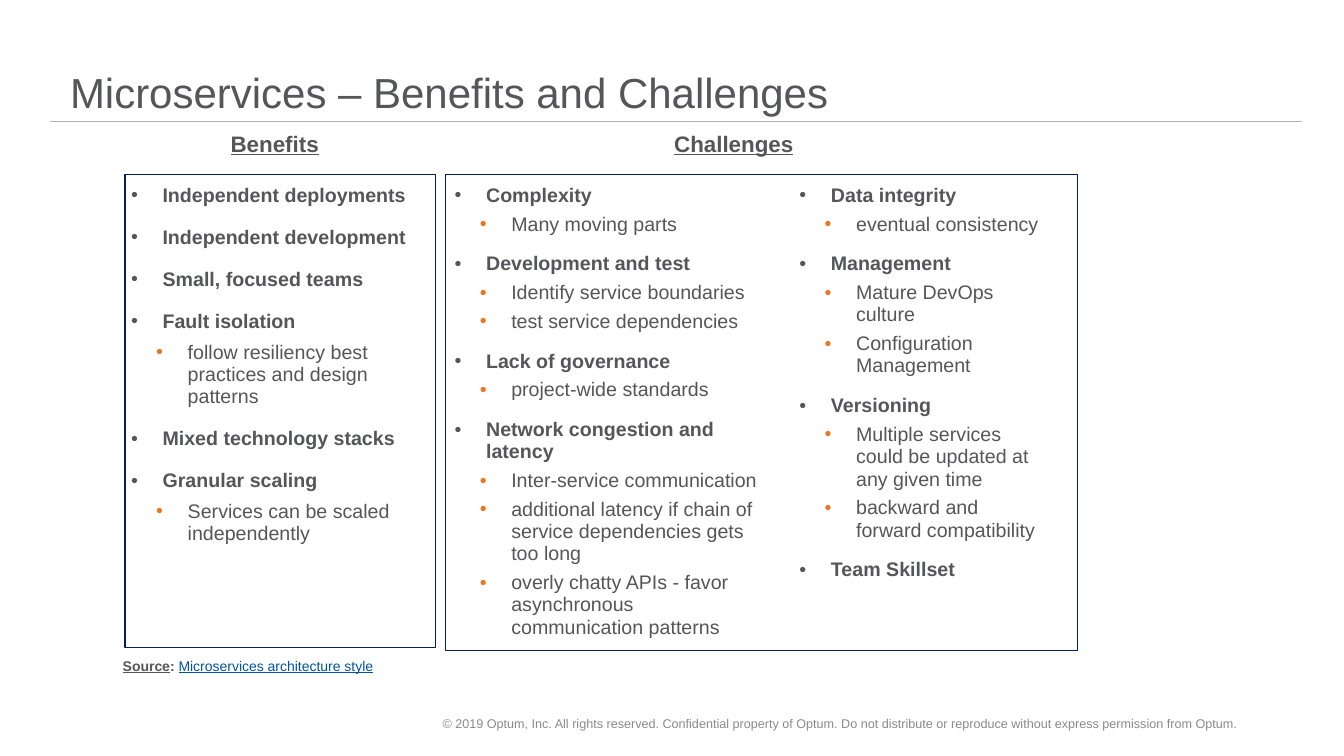
import lxml.etree
import pptx
import pptx.dml.color
import pptx.enum.shapes
import pptx.enum.text
import pptx.oxml.ns
import pptx.util

Pt = pptx.util.Pt
qn = pptx.oxml.ns.qn
Anchor = pptx.enum.text.MSO_ANCHOR
Align = pptx.enum.text.PP_ALIGN

GRAY = "55565A"
NAVY = "002060"
ORANGE = "E87722"
BLUE = "00549F"

BENEFITS = [
    ("Independent deployments", []),
    ("Independent development", []),
    ("Small, focused teams", []),
    ("Fault isolation", ["follow resiliency best practices and design patterns"]),
    ("Mixed technology stacks", []),
    ("Granular scaling", ["Services can be scaled independently"]),
]
CHALLENGES = [
    ("Complexity", ["Many moving parts"]),
    ("Development and test", ["Identify service boundaries", "test service dependencies"]),
    ("Lack of governance", ["project-wide standards"]),
    ("Network congestion and latency", [
        "Inter-service communication",
        "additional latency if chain of service dependencies gets too long",
        "overly chatty APIs - favor asynchronous communication patterns",
    ]),
]
MORE_CHALLENGES = [
    ("Data integrity", ["eventual consistency"]),
    ("Management", ["Mature DevOps culture", "Configuration Management"]),
    ("Versioning", [
        "Multiple services could be updated at any given time",
        "backward and forward compatibility",
    ]),
    ("Team Skillset", []),
]


def color(hex_text):
    return pptx.dml.color.RGBColor.from_string(hex_text)


def add_text(paragraph, text, size=14, fill=GRAY, bold=False, underline=False, font="Arial"):
    run = paragraph.add_run()
    run.text = text
    run.font.name = font
    run.font.size = Pt(size)
    run.font.bold = bold
    run.font.underline = underline
    run.font.color.rgb = color(fill)


def add_bullet(paragraph, level, fill):
    paragraph.level = level
    properties = paragraph._p.get_or_add_pPr()
    properties.set("marL", str(Pt(22.5 + 18 * level)))
    properties.set("indent", str(-Pt(22.5)))
    bullet_color = lxml.etree.SubElement(properties, qn("a:buClr"))
    lxml.etree.SubElement(bullet_color, qn("a:srgbClr"), val=fill)
    lxml.etree.SubElement(properties, qn("a:buFont"), typeface="Arial")
    lxml.etree.SubElement(properties, qn("a:buChar"), char="•")


class SlideBuilder:
    def __init__(self, presentation):
        self.slide = presentation.slides.add_slide(presentation.slide_layouts[5])

    def frame(self, shape, inset, anchor):
        frame = shape.text_frame
        frame.word_wrap = True
        frame.auto_size = pptx.enum.text.MSO_AUTO_SIZE.NONE
        frame.vertical_anchor = anchor
        if not inset:
            frame.margin_left = frame.margin_right = 0
            frame.margin_top = frame.margin_bottom = 0
        return frame

    def title(self, text, left, top, width, height):
        shape = self.slide.shapes.title
        shape.left, shape.top = Pt(left), Pt(top)
        shape.width, shape.height = Pt(width), Pt(height)
        paragraph = self.frame(shape, False, Anchor.BOTTOM).paragraphs[0]
        paragraph.alignment = Align.LEFT
        paragraph.line_spacing = 0.9
        add_text(paragraph, text, size=30)

    def text_box(self, left, top, width, height, inset=True, anchor=Anchor.TOP):
        shape = self.slide.shapes.add_textbox(Pt(left), Pt(top), Pt(width), Pt(height))
        return self.frame(shape, inset, anchor)

    def heading(self, text, left, width):
        paragraph = self.text_box(left, 89.3, width, 26.6).paragraphs[0]
        add_text(paragraph, text, size=16, bold=True, underline=True)

    def bullets(self, topics, left, width, height, space_after):
        frame = self.text_box(left, 131.8, width, height, inset=False)
        lines = [line for topic, details in topics
                 for line in [(topic, 0)] + [(detail, 1) for detail in details]]
        for index, (text, level) in enumerate(lines):
            paragraph = frame.add_paragraph() if index else frame.paragraphs[0]
            add_bullet(paragraph, level, ORANGE if level else GRAY)
            paragraph.line_spacing = 0.95
            paragraph.space_before = Pt(8 if index and level == 0 else 0)
            paragraph.space_after = Pt(space_after)
            add_text(paragraph, text, bold=level == 0)

    def outline(self, left, width, height):
        shape = self.slide.shapes.add_shape(
            pptx.enum.shapes.MSO_SHAPE.RECTANGLE, Pt(left), Pt(124.6), Pt(width), Pt(height))
        shape.shadow.inherit = False
        shape.fill.background()
        shape.line.color.rgb = color(NAVY)
        shape.line.width = Pt(0.75)

    def rule(self, left, right, top):
        connector = self.slide.shapes.add_connector(
            pptx.enum.shapes.MSO_CONNECTOR.STRAIGHT, Pt(left), Pt(top), Pt(right), Pt(top))
        connector.line.color.rgb = color("B1B3B3")
        connector.line.width = Pt(1)
        lxml.etree.SubElement(connector._element.spPr, qn("a:effectLst"))


def main():
    presentation = pptx.Presentation()
    presentation.slide_width = Pt(960)
    presentation.slide_height = Pt(540)
    builder = SlideBuilder(presentation)

    builder.rule(36, 930, 86.6)
    builder.title("Microservices – Benefits and Challenges", 50, 0, 891, 84.2)

    builder.heading("Benefits", 157.7, 79.2)
    builder.outline(89.3, 221.8, 337.7)
    builder.bullets(BENEFITS, 93.6, 217.4, 251.3, space_after=6)

    builder.heading("Challenges", 474.5, 107.3)
    builder.outline(318.2, 451.4, 339.8)
    builder.bullets(CHALLENGES, 324.7, 219.6, 339.8, space_after=4.5)
    builder.bullets(MORE_CHALLENGES, 571, 172.1, 339.8, space_after=4.5)

    source = builder.text_box(80.6, 465.8, 198, 19.4).paragraphs[0]
    add_text(source, "Source", size=10, bold=True, underline=True)
    add_text(source, ": ", size=10, bold=True)
    add_text(source, "Microservices architecture style", size=10, fill=BLUE, underline=True)

    footer = builder.text_box(239.8, 504.7, 643.7, 24.5, inset=False, anchor=Anchor.MIDDLE).paragraphs[0]
    footer.alignment = Align.RIGHT
    add_text(footer, "© 2019 Optum, Inc. All rights reserved. Confidential property of Optum. "
             "Do not distribute or reproduce without express permission from Optum.",
             size=9, fill="888B8D")

    presentation.save("out.pptx")


if __name__ == "__main__":
    main()
